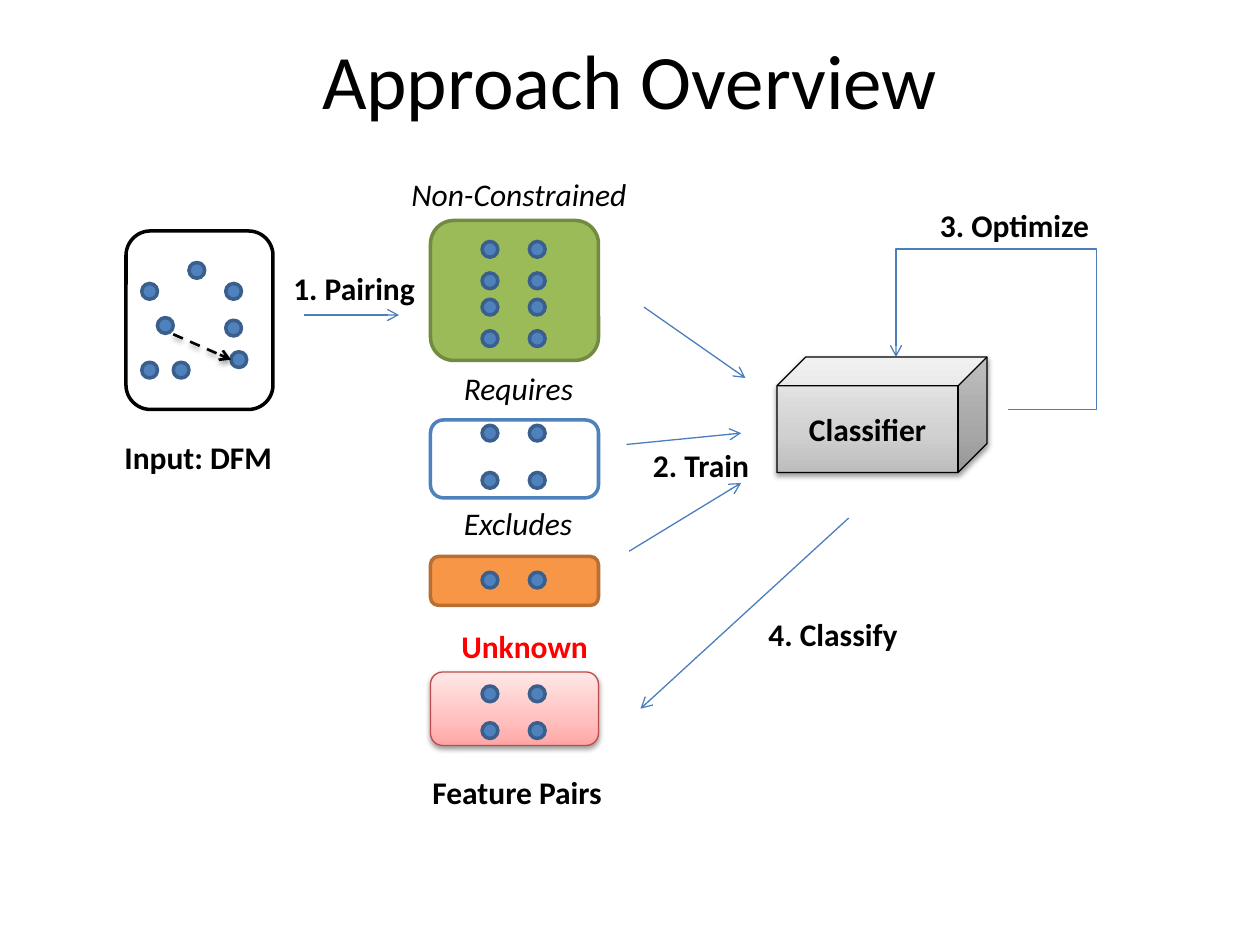
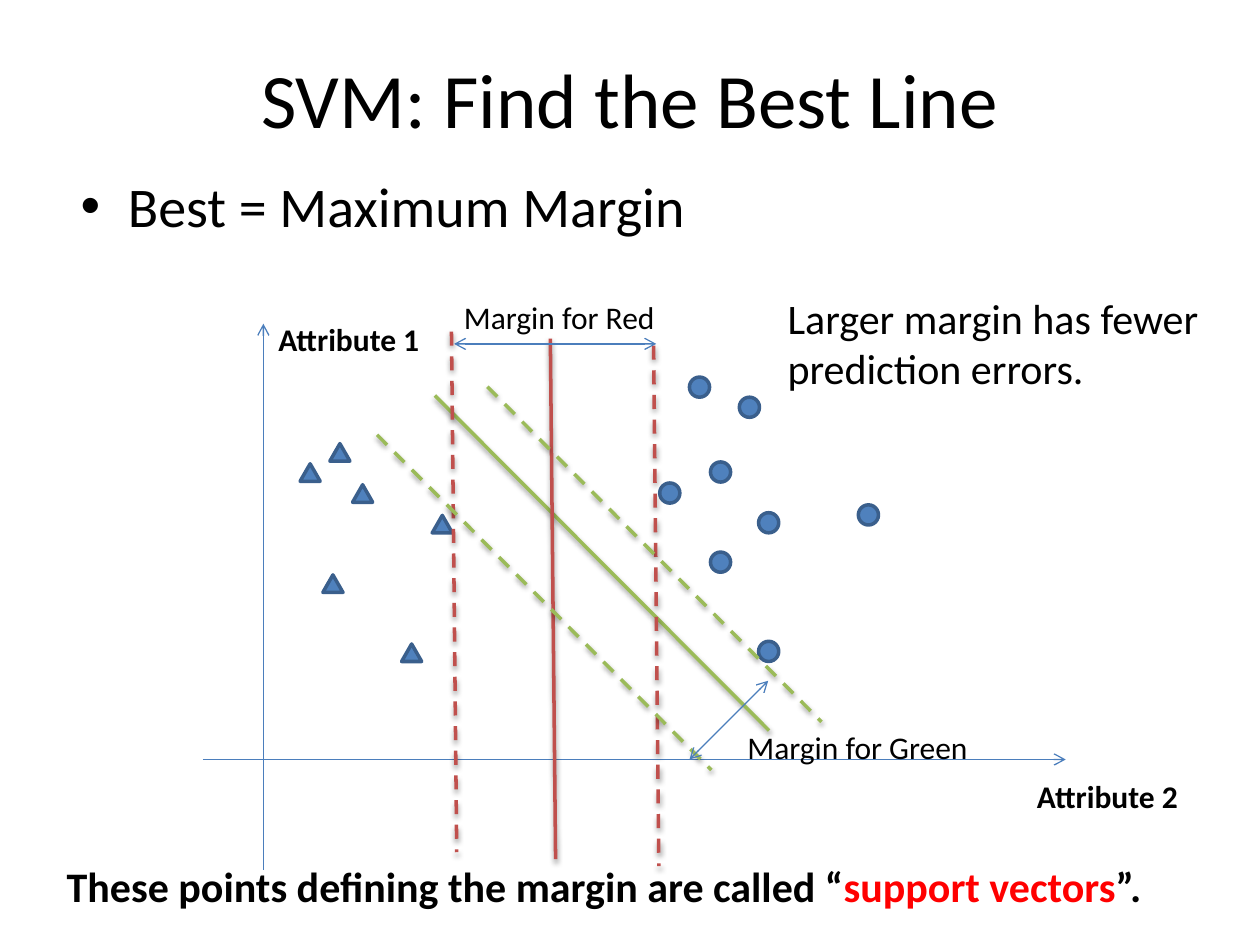
"""Build the two slides on the approach overview and the best SVM line."""
from dataclasses import dataclass

from pptx import Presentation
from pptx.dml.color import RGBColor
from pptx.enum.dml import MSO_LINE
from pptx.enum.shapes import MSO_CONNECTOR, MSO_SHAPE
from pptx.enum.text import MSO_ANCHOR, MSO_AUTO_SIZE, PP_ALIGN
from pptx.oxml.ns import qn
from pptx.oxml.xmlchemy import OxmlElement
from pptx.slide import Slide
from pptx.util import Pt

ROUNDED, OVAL = MSO_SHAPE.ROUNDED_RECTANGLE, MSO_SHAPE.OVAL
TRIANGLE, CUBE = MSO_SHAPE.ISOSCELES_TRIANGLE, MSO_SHAPE.CUBE
STRAIGHT, ELBOW = MSO_CONNECTOR.STRAIGHT, MSO_CONNECTOR.ELBOW
DASH = MSO_LINE.DASH
CENTER, MIDDLE = PP_ALIGN.CENTER, MSO_ANCHOR.MIDDLE
FIT_SHAPE = MSO_AUTO_SIZE.SHAPE_TO_FIT_TEXT

FONT = "Calibri"
BLACK = RGBColor(0x00, 0x00, 0x00)
WHITE = RGBColor(0xFF, 0xFF, 0xFF)
ALERT = RGBColor(0xFF, 0x00, 0x00)
BLUE = RGBColor(0x4F, 0x81, 0xBD)
DARK_BLUE = RGBColor(0x3A, 0x5F, 0x8C)
ARROW_BLUE = RGBColor(0x4B, 0x7E, 0xBC)
GREEN = RGBColor(0x9B, 0xBB, 0x59)
DARK_GREEN = RGBColor(0x73, 0x8A, 0x42)
ORANGE = RGBColor(0xF7, 0x96, 0x46)
DARK_ORANGE = RGBColor(0xB7, 0x6F, 0x34)
RED = RGBColor(0xC0, 0x50, 0x4D)
PINK_EDGE = RGBColor(0xBF, 0x4C, 0x48)
PINKS = (RGBColor(0xFF, 0xA6, 0xA5), RGBColor(0xFF, 0xC0, 0xBF), RGBColor(0xFF, 0xE7, 0xE7))
GREYS = (RGBColor(0xBD, 0xBD, 0xBD), RGBColor(0xD1, 0xD1, 0xD1), RGBColor(0xEE, 0xEE, 0xEE))
STOPS = (0, 35000, 100000)
DOT = 9


def add_element(parent, tag, **attributes):
    """Append a new XML element and return it."""
    element = OxmlElement(tag)
    for name, value in attributes.items():
        element.set(name, str(value))
    parent.append(element)
    return element


def set_shadow(shape, visible):
    """Give a shape or connector a soft drop shadow, or none."""
    effects = add_element(shape._element.spPr, "a:effectLst")
    if visible:
        shadow = add_element(effects, "a:outerShdw", blurRad=Pt(3.1), dist=Pt(1.6),
                             dir=5400000, rotWithShape=0)
        color = add_element(shadow, "a:srgbClr", val=BLACK)
        add_element(color, "a:alpha", val=38000)


def set_gradient(shape, colors):
    """Fill a shape with three colours from bottom to top."""
    shape.fill.gradient()
    shape.fill.gradient_angle = 90
    stop_list = shape._element.spPr.find(".//" + qn("a:gsLst"))
    for stop in list(stop_list):
        stop_list.remove(stop)
    for position, color in zip(STOPS, colors):
        stop = add_element(stop_list, "a:gs", pos=position)
        add_element(stop, "a:srgbClr", val=color)


def style_paragraph(paragraph, size, color=BLACK, bold=False, italic=False):
    """Set the font of a whole paragraph."""
    font = paragraph.font
    font.name, font.size = FONT, Pt(size)
    font.bold, font.italic = bold, italic
    font.color.rgb = color


@dataclass
class Region:
    """A part of a slide whose contents are placed from its top left corner."""
    slide: Slide
    left: float = 0
    top: float = 0

    def shape(self, kind, x, y, width, height, fill=BLUE, edge=DARK_BLUE, edge_width=2):
        """Add a preset shape; a tuple of colours makes a shaded one."""
        shape = self.slide.shapes.add_shape(
            kind, Pt(self.left + x), Pt(self.top + y), Pt(width), Pt(height))
        shaded = isinstance(fill, tuple) and not isinstance(fill, RGBColor)
        if shaded:
            set_gradient(shape, fill)
        else:
            shape.fill.solid()
            shape.fill.fore_color.rgb = fill
        shape.line.color.rgb = edge
        shape.line.width = Pt(edge_width)
        set_shadow(shape, shaded)
        return shape

    def dots(self, points):
        """Add a feature dot at each point."""
        for x, y in points:
            self.shape(OVAL, x, y, DOT, DOT)

    def line(self, start, end, color=ARROW_BLUE, width=0.75, dash=None,
             ends=("tailEnd",), shadow=False, kind=STRAIGHT):
        """Add a connector with open arrowheads at the named ends."""
        (x1, y1), (x2, y2) = start, end
        connector = self.slide.shapes.add_connector(
            kind, Pt(self.left + x1), Pt(self.top + y1),
            Pt(self.left + x2), Pt(self.top + y2))
        connector.line.color.rgb = color
        connector.line.width = Pt(width)
        if dash:
            connector.line.dash_style = dash
        for end_name in ends:
            add_element(connector.line._get_or_add_ln(), "a:" + end_name, type="arrow")
        set_shadow(connector, shadow)
        return connector

    def text(self, x, y, width, height, wrap=False):
        """Add an empty text box and return its frame."""
        box = self.slide.shapes.add_textbox(
            Pt(self.left + x), Pt(self.top + y), Pt(width), Pt(height))
        box.text_frame.word_wrap = wrap
        return box.text_frame

    def label(self, text, x, y, width, **style):
        """Add a one-line label."""
        frame = self.text(x, y, width, 29)
        frame.auto_size = FIT_SHAPE
        frame.text = text
        style_paragraph(frame.paragraphs[0], 18, **style)


def add_title(slide, text, top, height):
    """Add the centred slide title."""
    frame = Region(slide, 36, top).text(0, 0, 648, height, wrap=True)
    frame.vertical_anchor = MIDDLE
    frame.text = text
    frame.paragraphs[0].alignment = CENTER
    style_paragraph(frame.paragraphs[0], 44)


def add_input_model(slide, left, top):
    """Add the input model with its scattered features."""
    region = Region(slide, left, top)
    region.shape(ROUNDED, 0, 0, 84, 102, WHITE, BLACK)
    region.dots([(36, 18), (18, 49.5), (60, 69), (57, 30), (9, 30),
                 (57, 51), (9, 75), (27, 75)])
    region.line((27, 59), (60, 73.5), BLACK, 1.5, DASH, shadow=True)
    region.label("Input: DFM", -8, 115, 104, bold=True)


def add_pair_panel(slide, left, top, height, colors, edge_width, rows, caption, style):
    """Add a panel with rows of feature pairs and a caption above it."""
    region = Region(slide, left, top)
    region.shape(ROUNDED, 0, 0, 96, height, *colors, edge_width)
    region.dots([(x, y) for y in rows for x in (29.5, 56.5)])
    text, x, y, width = caption
    region.label(text, x, y, width, **style)


def add_classifier(slide, left, top):
    """Add the classifier cube and its optimisation loop."""
    region = Region(slide, left, top)
    cube = region.shape(CUBE, 0, 0, 120, 66, GREYS, BLACK, 0.75)
    frame = cube.text_frame
    frame.text = "Classifier"
    frame.vertical_anchor = MIDDLE
    frame.paragraphs[0].alignment = CENTER
    style_paragraph(frame.paragraphs[0], 18, bold=True)
    loop = region.line((68, 0), (132, 30), kind=ELBOW)
    properties = loop._element.spPr
    properties.find(qn("a:xfrm")).set("rot", "10800000")
    geometry = properties.find(qn("a:prstGeom"))
    geometry.set("prst", "bentConnector4")
    for guide in geometry.findall(qn("a:avLst")):
        geometry.remove(guide)
    guides = add_element(geometry, "a:avLst")
    add_element(guides, "a:gd", name="adj1", fmla="val -79300")
    add_element(guides, "a:gd", name="adj2", fmla="val 305700")
    region.label("3. Optimize", 86, -90, 101, bold=True)


def add_flow(slide):
    """Add the numbered steps between the regions."""
    region = Region(slide)
    for start, end in [((174, 180), (228, 180)), ((368, 175.5), (426, 216)),
                       ((358, 254), (423.5, 247.5)), ((359.5, 315), (423.5, 276)),
                       ((485, 296), (366, 405))]:
        region.line(start, end)
    for text, x, y, width in [("1. Pairing", 160.5, 150, 85), ("2. Train", 366, 251.5, 70),
                              ("4. Classify", 432, 348, 89),
                              ("Feature Pairs", 240, 438, 112)]:
        region.label(text, x, y, width, bold=True)


def build_overview(slide):
    """Build the slide on the approach."""
    add_title(slide, "Approach Overview", 12, 66)
    add_input_model(slide, 72, 132)
    panels = [
        (126, 80, (GREEN, DARK_GREEN), 2, (12, 30, 45, 63),
         ("Non-Constrained", -18, -29.5, 140), {"italic": True}),
        (240, 44.5, (WHITE, BLUE), 2, (3, 30),
         ("Requires", 12, -32.5, 78), {"italic": True}),
        (318, 28, (ORANGE, DARK_ORANGE), 2, (9,),
         ("Excludes", 12, -33.5, 78), {"italic": True}),
        (384, 42, (PINKS, PINK_EDGE), 0.75, (8, 29),
         ("Unknown", 10.5, -29, 87), {"bold": True, "color": ALERT}),
    ]
    for panel in panels:
        add_pair_panel(slide, 246, *panel)
    add_classifier(slide, 444, 204)
    add_flow(slide)


def add_plot(slide, left, top):
    """Add the axes, the two classes of points and the separating lines."""
    region = Region(slide, left, top)
    region.line((0, 249), (493, 249))
    region.line((34.5, 312), (34.5, 0))
    region.label("Attribute 2", 469.5, 255.5, 96.5, bold=True)
    region.label("Attribute 1", 36, -5.5, 96.5, bold=True)
    for x, y in [(278, 30.5), (306.5, 42), (290, 79), (317.5, 108), (261, 91),
                 (290, 130.5), (317.5, 181.5), (374.5, 103.5)]:
        region.shape(OVAL, x, y, 11.5, 11.5)
    for x, y in [(55.5, 80), (72.5, 68.5), (131, 109.5), (85.5, 92),
                 (113.5, 183), (68.5, 143.5)]:
        region.shape(TRIANGLE, x, y, 11.5, 10)
    green_run, red_run = (191, 191.5), (3, 297.5)
    for x, y, (run, rise), color, dash in [
            (132.5, 41, green_run, GREEN, None), (198.5, 8.5, red_run, RED, None),
            (142, 4.5, red_run, RED, DASH), (257.5, 12.5, red_run, RED, DASH),
            (162.5, 36, green_run, GREEN, DASH), (99.5, 63.5, green_run, GREEN, DASH)]:
        region.line((x, y), (x + run, y + rise), color, 2, dash, ends=(), shadow=True)
    for start, end in [((143.5, 11.5), (259, 11.5)), ((278, 249), (323, 204))]:
        region.line(start, end, ends=("headEnd", "tailEnd"))
    region.label("Margin for Red", 142, -18.5, 129)
    region.label("Margin for Green", 304, 227.5, 142)


def add_statements(slide):
    """Add the bullet, the remark and the closing sentence."""
    region = Region(slide)
    frame = region.text(39, 94.5, 648, 47.5, wrap=True)
    frame.text = "Best = Maximum Margin"
    paragraph = frame.paragraphs[0]
    properties = paragraph._p.get_or_add_pPr()
    properties.set("marL", str(Pt(27)))
    properties.set("indent", str(-Pt(27)))
    add_element(properties, "a:buFont", typeface="Arial")
    add_element(properties, "a:buChar", char="•")
    style_paragraph(paragraph, 32)

    frame = region.text(443, 163.5, 257, 65.5, wrap=True)
    frame.text = "Larger margin has fewer prediction errors."
    style_paragraph(frame.paragraphs[0], 24)

    frame = region.text(31, 488, 634, 36)
    frame.auto_size = FIT_SHAPE
    paragraph = frame.paragraphs[0]
    style_paragraph(paragraph, 24, bold=True)
    for text, color in [("These points defining the margin are called “", BLACK),
                        ("support vectors", ALERT), ("”.", BLACK)]:
        run = paragraph.add_run()
        run.text = text
        run.font.color.rgb = color


def build_best_line(slide):
    """Build the slide on the maximum margin."""
    add_title(slide, "SVM: Find the Best Line", 21.5, 68.5)
    add_plot(slide, 116, 185)
    add_statements(slide)


def main():
    """Build and save the presentation."""
    presentation = Presentation()
    presentation.slide_width, presentation.slide_height = Pt(720), Pt(540)
    blank = presentation.slide_layouts[6]
    for build in (build_overview, build_best_line):
        build(presentation.slides.add_slide(blank))
    presentation.save("out.pptx")


if __name__ == "__main__":
    main()
